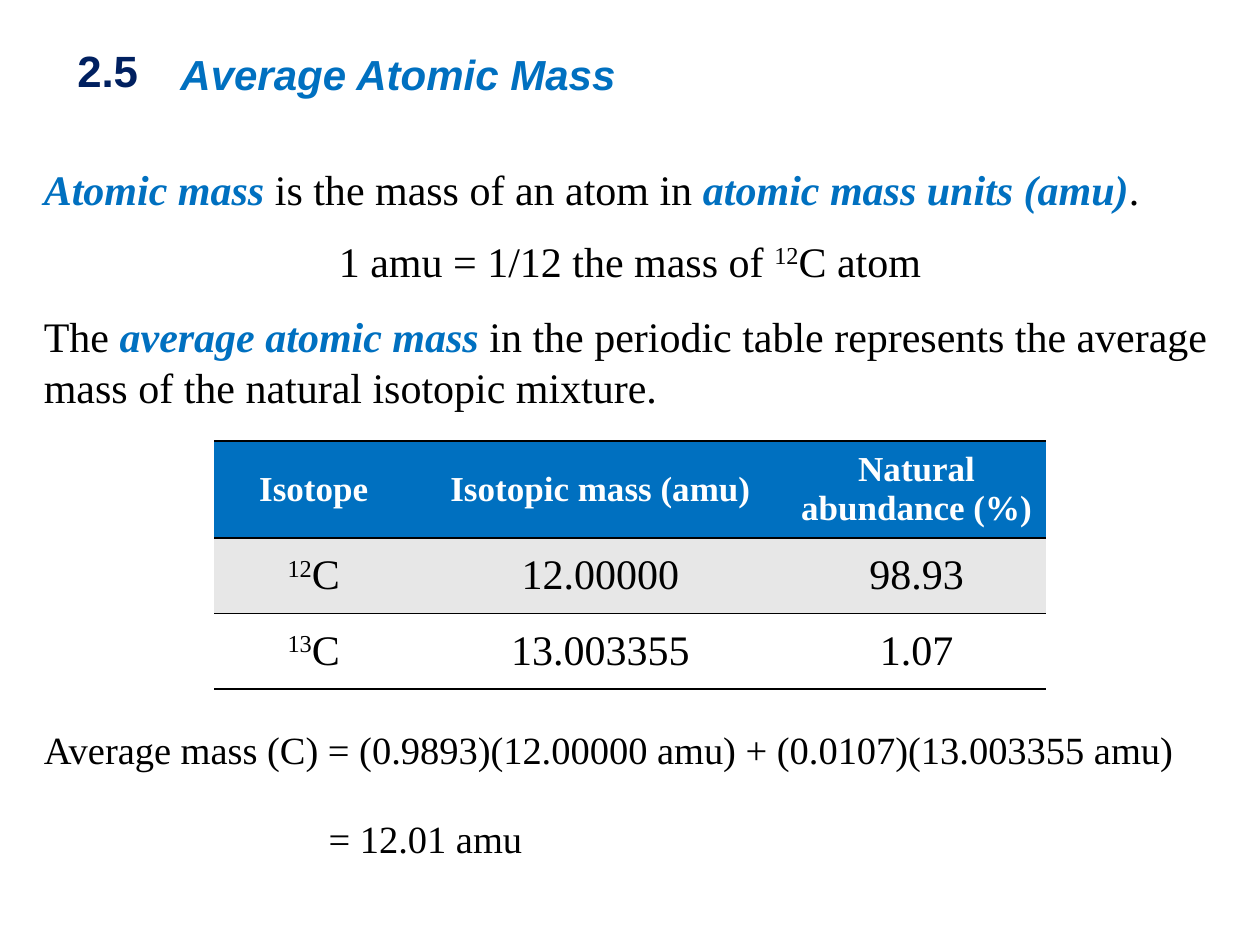
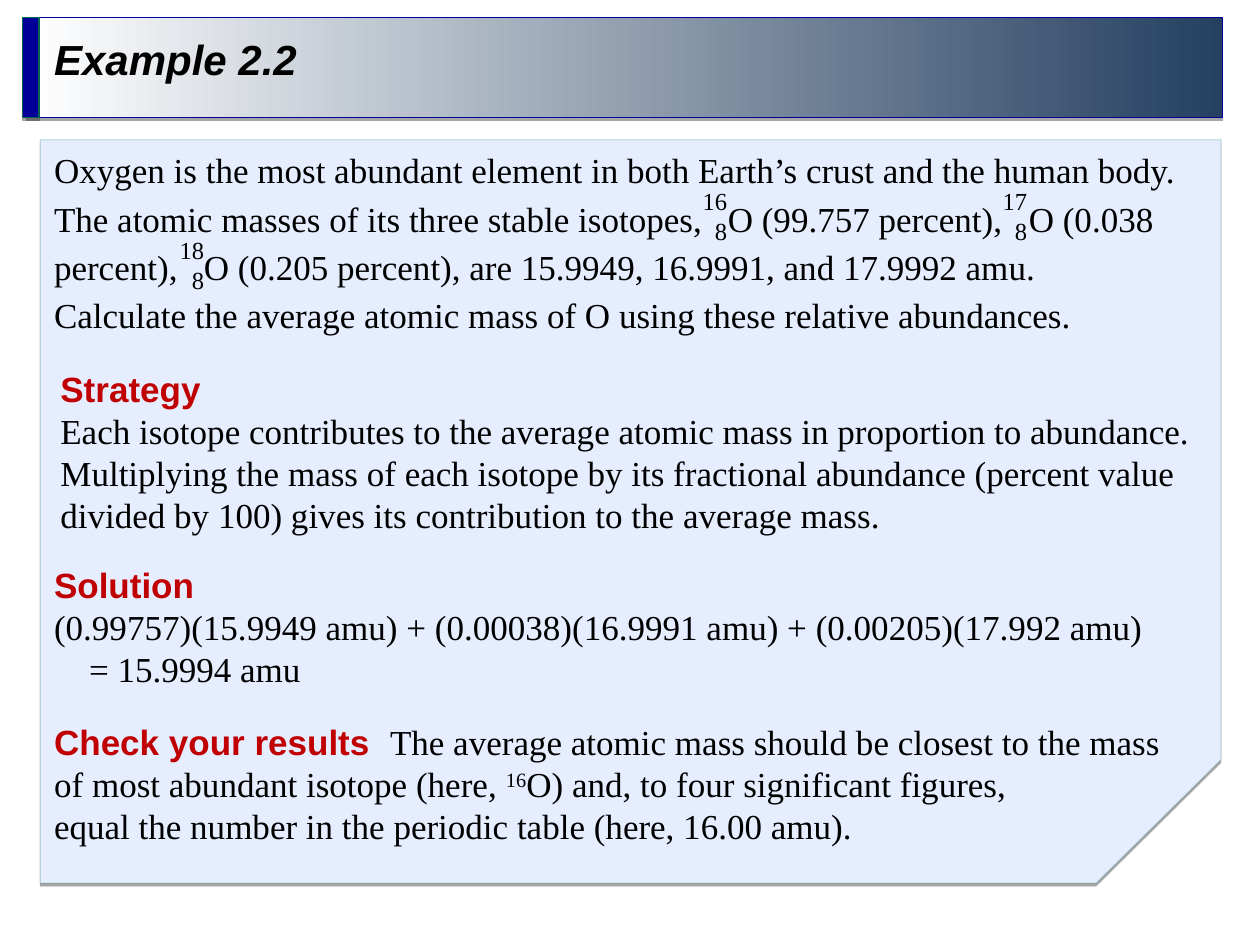
from lxml import etree
from pptx import Presentation
from pptx.dml.color import RGBColor
from pptx.enum.shapes import MSO_SHAPE
from pptx.enum.text import MSO_ANCHOR, PP_ALIGN
from pptx.oxml.ns import qn
from pptx.util import Pt

RECTANGLE = MSO_SHAPE.RECTANGLE
TOP, MIDDLE = MSO_ANCHOR.TOP, MSO_ANCHOR.MIDDLE
LEFT, CENTER, RIGHT = PP_ALIGN.LEFT, PP_ALIGN.CENTER, PP_ALIGN.RIGHT

BLACK = RGBColor(0x00, 0x00, 0x00)
WHITE = RGBColor(0xFF, 0xFF, 0xFF)
BLUE = RGBColor(0x00, 0x70, 0xC0)
NAVY = RGBColor(0x00, 0x20, 0x60)
RED = RGBColor(0xC0, 0x00, 0x00)
BAND_END = RGBColor(0x25, 0x40, 0x61)
BAND_BLUE = RGBColor(0x00, 0x00, 0x99)
EDGE_GREEN = RGBColor(0x00, 0x66, 0x4D)
PANEL = RGBColor(0xE5, 0xED, 0xFF)
STRIPE = RGBColor(0xE7, 0xE7, 0xE7)

SERIF, SANS = "Times New Roman", "Arial"
LINE_PITCH = 1.2
TITLE_PITCH = 0.97
NO_STYLE_TABLE = "{2D5ABB26-0587-4C30-8999-92F81FD0307C}"

# Text styles: font, colour, bold, italic
STYLES = {
    "plain": (SERIF, BLACK, False, False),
    "super": (SERIF, BLACK, False, False),
    "term": (SERIF, BLUE, True, True),
    "header": (SERIF, WHITE, True, False),
    "heading": (SANS, RED, True, False),
    "number": (SANS, NAVY, True, False),
    "topic title": (SANS, BLUE, True, True),
    "example title": (SANS, BLACK, True, True),
}


def add_runs(paragraph, runs, size):
    for text, style in runs:
        run = paragraph.add_run()
        run.text = text
        font = run.font
        font.name, font.color.rgb, font.bold, font.italic = STYLES[style]
        font.size = Pt(size)
        if style == "super":
            run._r.get_or_add_rPr().set("baseline", "30000")


def add_text(slide, box, paragraphs, size, pitch=LINE_PITCH, anchor=TOP):
    """Each paragraph is a list of runs and a dict of layout options."""
    shape = slide.shapes.add_textbox(*map(Pt, box))
    text_frame = shape.text_frame
    text_frame.word_wrap = True
    text_frame.vertical_anchor = anchor
    for index, (runs, options) in enumerate(paragraphs):
        paragraph = text_frame.add_paragraph() if index else text_frame.paragraphs[0]
        properties = paragraph._p.get_or_add_pPr()
        if "tabs" in options:
            tab_list = etree.SubElement(properties, qn("a:tabLst"))
            for position in options["tabs"]:
                etree.SubElement(tab_list, qn("a:tab"), pos=str(Pt(position)), algn="l")
        if "indent" in options:
            properties.set("marL", str(Pt(options["indent"])))
            properties.set("indent", "0")
        text_size = options.get("size", size)
        paragraph.alignment = options.get("align", LEFT)
        paragraph.line_spacing = Pt(text_size * pitch)
        if "before" in options:
            paragraph.space_before = Pt(options["before"])
        add_runs(paragraph, runs, text_size)


presentation = Presentation()
presentation.slide_width, presentation.slide_height = Pt(720), Pt(540)
blank_layout = presentation.slide_layouts[6]

# Slide 1: title and section number
slide = presentation.slides.add_slide(blank_layout)
add_text(slide, (96, 12, 588, 66), [([("Average Atomic Mass", "topic title")], {})],
         24, TITLE_PITCH, MIDDLE)
add_text(slide, (32.4, 21.6, 58.3, 37.4), [([("2.5", "number")], {"align": CENTER})], 25)

# Definitions above the table and the calculation below it
add_text(slide, (18, 90, 684, 356), [
    ([("Atomic mass ", "term"), ("is the mass of an atom in ", "plain"),
      ("atomic mass units (amu)", "term"), (".", "plain")], {}),
    ([("1 amu = 1/12 the mass of ", "plain"), ("12", "super"), ("C atom", "plain")],
     {"align": CENTER, "before": 12}),
    ([("The ", "plain"), ("average atomic mass ", "term"),
      ("in the periodic table represents the average mass of the natural isotopic mixture.",
       "plain")], {"before": 14.4}),
    ([("Average mass (C) = (0.9893)(12.00000 amu) + (0.0107)(13.003355 amu)", "plain")],
     {"size": 22, "before": 180}),
], 24)

# Isotope table
isotope_rows = [
    [[("Isotope", "header")], [("Isotopic mass (amu)", "header")],
     [("Natural abundance (%)", "header")]],
    [[("12", "super"), ("C", "plain")], [("12.00000", "plain")], [("98.93", "plain")]],
    [[("13", "super"), ("C", "plain")], [("13.003355", "plain")], [("1.07", "plain")]],
]
row_fills = [BLUE, STRIPE, WHITE]
row_sizes = [20, 24, 24]
row_borders = [("a:lnT", "a:lnB"), ("a:lnT",), ("a:lnB",)]
frame = slide.shapes.add_table(3, 3, Pt(122.4), Pt(252), Pt(475.2), Pt(141.8))
table = frame.table
table._tbl.tblPr.find(qn("a:tableStyleId")).text = NO_STYLE_TABLE
for column, width in zip(table.columns, (113.8, 213.8, 147.6)):
    column.width = Pt(width)
for row, height in zip(table.rows, (55.4, 43.2, 43.2)):
    row.height = Pt(height)
for row_index, row_texts in enumerate(isotope_rows):
    for column_index, runs in enumerate(row_texts):
        cell = table.cell(row_index, column_index)
        cell.vertical_anchor = MIDDLE
        cell_properties = cell._tc.get_or_add_tcPr()
        for side in row_borders[row_index]:
            border = etree.SubElement(cell_properties, qn(side), w=str(Pt(0.96)))
            border_fill = etree.SubElement(border, qn("a:solidFill"))
            etree.SubElement(border_fill, qn("a:srgbClr"), val=str(BLACK))
        cell.fill.solid()
        cell.fill.fore_color.rgb = row_fills[row_index]
        paragraph = cell.text_frame.paragraphs[0]
        paragraph.alignment = CENTER
        add_runs(paragraph, runs, row_sizes[row_index])

add_text(slide, (180.7, 462.2, 130, 33.8), [([("= 12.01 amu", "plain")], {})], 22)

# Slide 2: title band, clipped panel and accent bar
slide = presentation.slides.add_slide(blank_layout)
band = slide.shapes.add_shape(RECTANGLE, Pt(15.1), Pt(10.1), Pt(683.3), Pt(56.9))
band.fill.gradient()
band.fill.gradient_angle = 0
for stop, color in zip(band.fill.gradient_stops, (WHITE, BAND_END)):
    stop.color.rgb = color

corners = [(626.4, 504.7), (697.7, 434.2), (697.7, 79.9), (23, 79.9)]
builder = slide.shapes.build_freeform(Pt(23), Pt(504.7), scale=1.0)
builder.add_line_segments([(Pt(x), Pt(y)) for x, y in corners], close=True)
panel = builder.convert_to_shape()
accent = slide.shapes.add_shape(RECTANGLE, Pt(13), Pt(10.1), Pt(9.4), Pt(56.9))
for shape, color in ((panel, PANEL), (accent, BAND_BLUE)):
    shape.fill.solid()
    shape.fill.fore_color.rgb = color

# Thin edges and the shared drop shadow
for shape, edge in ((band, BAND_BLUE), (panel, EDGE_GREEN), (accent, EDGE_GREEN)):
    shape.line.color.rgb = edge
    shape.line.width = Pt(0.75)
    shape.shadow.inherit = False
    effects = shape._element.spPr.find(qn("a:effectLst"))
    shadow = etree.SubElement(effects, qn("a:outerShdw"), blurRad="0", dist=str(Pt(1.8)),
                              dir="5400000", algn="t", rotWithShape="0")
    shadow_color = etree.SubElement(shadow, qn("a:srgbClr"), val=str(BLACK))
    etree.SubElement(shadow_color, qn("a:alpha"), val="35000")
panel_edge = panel._element.spPr.find(qn("a:ln")).find(".//" + qn("a:srgbClr"))
etree.SubElement(panel_edge, qn("a:alpha"), val="18000")

add_text(slide, (23.8, 5.8, 611.3, 61.2), [([("Example 2.2", "example title")], {})],
         24, TITLE_PITCH, MIDDLE)

# Problem: tab stops leave room for the isotope numbers
add_text(slide, (23.8, 77.8, 671.8, 118), [
    ([("Oxygen is the most abundant element in both Earth’s crust and the human body. "
       "The atomic masses of its three stable isotopes,\tO (99.757 percent),\tO (0.038 "
       "percent),\tO (0.205 percent), are 15.9949, 16.9991, and 17.9992 amu.", "plain")],
     {"tabs": (85.6, 385, 557)}),
    ([("Calculate the average atomic mass of O using these relative abundances.", "plain")],
     {}),
], 20, 1.38)
for mass_number, left, top in (("16", 392.4, 103), ("17", 563.8, 103), ("18", 93.6, 131)):
    add_text(slide, (left, top, 30.2, 41),
             [([(number, "plain")], {"align": RIGHT}) for number in (mass_number, "8")], 14)

# Strategy, solution and check
add_text(slide, (27.4, 206.6, 666, 103.7), [
    ([("Strategy", "heading")], {}),
    ([("Each isotope contributes to the average atomic mass in proportion to abundance. "
       "Multiplying the mass of each isotope by its fractional abundance (percent value "
       "divided by 100) gives its contribution to the average mass.", "plain")], {}),
], 20)
add_text(slide, (23.8, 318.2, 671.8, 79.2), [
    ([("Solution", "heading")], {}),
    ([("(0.99757)(15.9949 amu) + (0.00038)(16.9991 amu) + (0.00205)(17.992 amu)", "plain")],
     {}),
    ([("= 15.9994 amu", "plain")], {"indent": 20}),
], 20)
add_text(slide, (23.8, 408.2, 666, 79.2), [
    ([("Check your results", "heading"),
      ("\tThe average atomic mass should be closest to the mass", "plain")], {"tabs": (192,)}),
    ([("of most abundant isotope (here, ", "plain"), ("16", "super"),
      ("O) and, to four significant figures,", "plain")], {}),
    ([("equal the number in the periodic table (here, 16.00 amu).", "plain")], {}),
], 20)

presentation.save("out.pptx")
